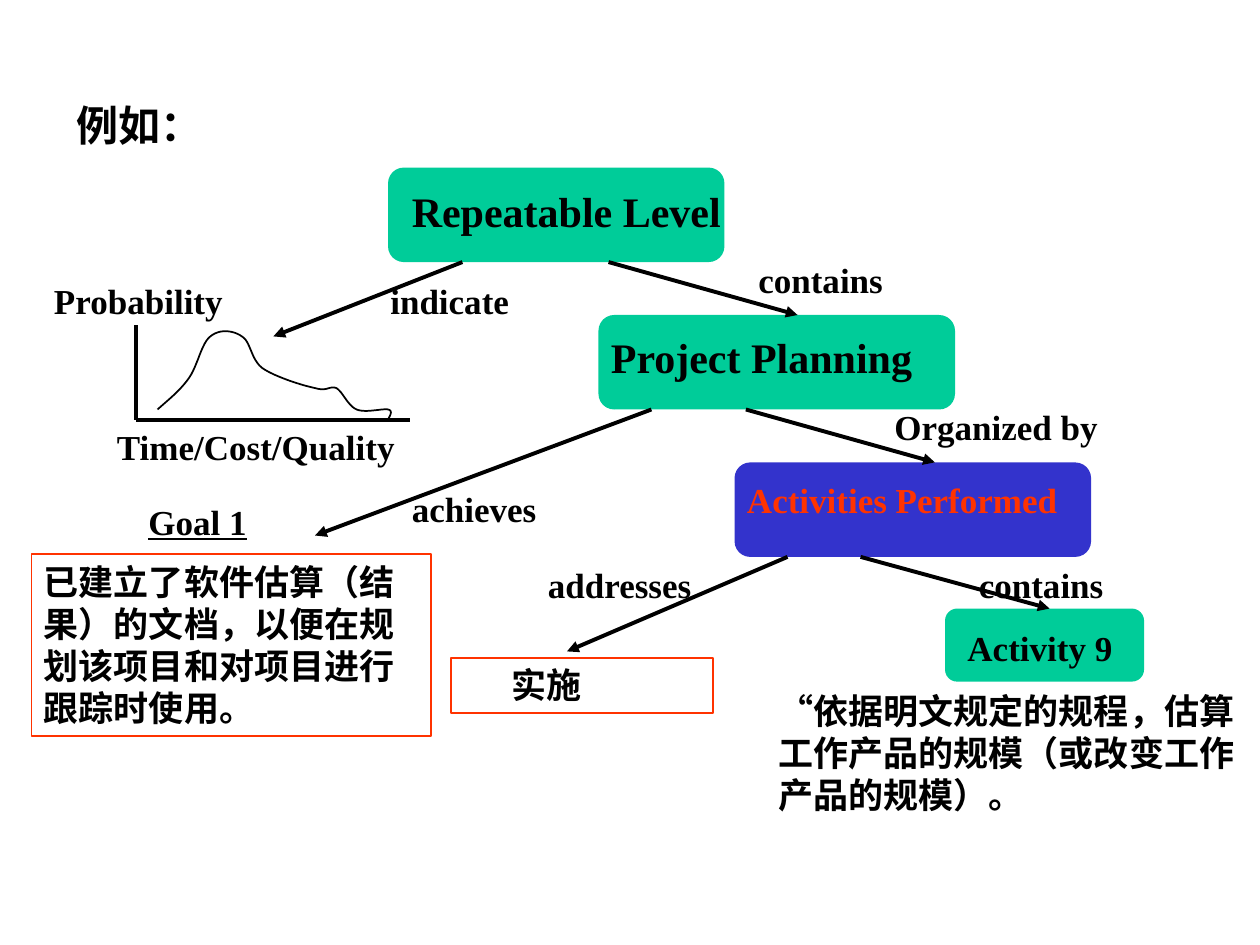
import pptx
import pptx.dml.color
import pptx.enum.shapes
import pptx.enum.text
import pptx.oxml
import pptx.oxml.ns
import pptx.util
from pptx.util import Inches

BLACK = pptx.dml.color.RGBColor(0x00, 0x00, 0x00)
GREEN = pptx.dml.color.RGBColor(0x00, 0xCC, 0x99)
BLUE = pptx.dml.color.RGBColor(0x33, 0x33, 0xCC)
RED = pptx.dml.color.RGBColor(0xFF, 0x33, 0x00)
FONT = "Times New Roman"
LABEL_HEIGHT = 0.44

# Bezier curve in inches from the chart corner: a start, then two controls and an end each.
CURVE_START = (0.17, 0.67)
CURVE_SEGMENTS = [
    ((0.26, 0.59), (0.35, 0.52), (0.42, 0.42)),
    ((0.49, 0.32), (0.52, 0.14), (0.59, 0.09)),
    ((0.66, 0.03), (0.77, 0.04), (0.84, 0.09)),
    ((0.91, 0.13), (0.91, 0.27), (1.00, 0.34)),
    ((1.10, 0.41), (1.32, 0.48), (1.42, 0.50)),
    ((1.52, 0.53), (1.53, 0.48), (1.59, 0.50)),
    ((1.64, 0.53), (1.68, 0.64), (1.75, 0.67)),
    ((1.82, 0.70), (1.96, 0.66), (2.00, 0.67)),
    ((2.05, 0.68), (2.00, 0.74), (2.00, 0.75)),
]
STEPS = 12


def write_text(shape, text, size=20, color=BLACK, underline=None, indent=0.0):
    frame = shape.text_frame
    frame.word_wrap = True
    frame.vertical_anchor = pptx.enum.text.MSO_ANCHOR.TOP
    frame.margin_left = Inches(0.1 + indent)
    frame.margin_right = Inches(0.1)
    frame.margin_top = frame.margin_bottom = Inches(0.05)
    paragraph = frame.paragraphs[0]
    paragraph.text = text
    paragraph.alignment = pptx.enum.text.PP_ALIGN.LEFT
    font = paragraph.font
    font.name, font.size, font.bold = FONT, pptx.util.Pt(size), True
    font.color.rgb = color
    font.underline = underline


def add_label(slide, left, top, width, text, height=LABEL_HEIGHT, **style):
    box = slide.shapes.add_textbox(*map(Inches, (left, top, width, height)))
    write_text(box, text, **style)


def add_line(slide, start, end, arrow=False):
    line = slide.shapes.add_connector(
        pptx.enum.shapes.MSO_CONNECTOR.STRAIGHT, *map(Inches, (*start, *end)))
    line.line.color.rgb = BLACK
    line.line.width = pptx.util.Pt(2.25)
    if arrow:
        outline = line.line._get_or_add_ln()
        outline.append(pptx.oxml.parse_xml(
            f'<a:tailEnd {pptx.oxml.ns.nsdecls("a")} type="triangle"/>'))
    line._element.spPr.append(pptx.oxml.parse_xml(
        f'<a:effectLst {pptx.oxml.ns.nsdecls("a")}/>'))


def add_node(slide, box, text, fill=GREEN, offset=(0, 0.08), **style):
    """Draw a rounded box with its caption shifted by offset from the corner."""
    shape = slide.shapes.add_shape(
        pptx.enum.shapes.MSO_SHAPE.FLOWCHART_ALTERNATE_PROCESS, *map(Inches, box))
    shape.shadow.inherit = False
    shape.fill.solid()
    shape.fill.fore_color.rgb = fill
    shape.line.fill.background()
    left, top, width, _ = box
    add_label(slide, left + offset[0], top + offset[1], width + 0.09 - offset[0] / 2,
              text, **style)


def add_framed_text(slide, box, text, indent=0.0):
    shape = slide.shapes.add_shape(
        pptx.enum.shapes.MSO_SHAPE.RECTANGLE, *map(Inches, box))
    shape.shadow.inherit = False
    shape.fill.background()
    shape.line.color.rgb = RED
    shape.line.width = pptx.util.Pt(1)
    write_text(shape, text, indent=indent)


def curve_points():
    """Return points along the Bezier segments, in EMU from the chart corner."""
    points, start = [tuple(map(Inches, CURVE_START))], CURVE_START
    for first, second, end in CURVE_SEGMENTS:
        controls = (start, first, second, end)
        for step in range(1, STEPS + 1):
            t = step / STEPS
            weights = ((1 - t) ** 3, 3 * t * (1 - t) ** 2, 3 * t * t * (1 - t), t ** 3)
            points.append(tuple(
                Inches(sum(weight * point[axis] for weight, point in zip(weights, controls)))
                for axis in (0, 1)))
        start = end
    return points


def add_probability_chart(slide, left, top, width, height):
    bottom = top + height
    add_line(slide, (left, top), (left, bottom))
    add_line(slide, (left, bottom), (left + width, bottom))
    start, *others = curve_points()
    builder = slide.shapes.build_freeform(*start)
    builder.add_line_segments(others, close=False)
    curve = builder.convert_to_shape(Inches(left), Inches(top))
    curve.shadow.inherit = False
    curve.fill.background()
    curve.line.color.rgb = BLACK
    curve.line.width = pptx.util.Pt(1)
    add_label(slide, left - 0.75, top - 0.41, 1.92, "Probability")
    add_label(slide, left - 0.25, bottom, 3, "Time/Cost/Quality")


def add_hierarchy(slide):
    add_node(slide, (3.08, 1.33, 2.67, 0.75), "Repeatable Level", offset=(0.09, 0.09), size=24)
    add_node(slide, (4.75, 2.5, 2.83, 0.75), "Project Planning", size=24)
    add_node(slide, (5.83, 3.67, 2.83, 0.75), "Activities Performed", fill=BLUE, color=RED)
    add_node(slide, (7.5, 4.83, 1.58, 0.58), "Activity 9", offset=(0.08, 0.09))


def add_relations(slide):
    relations = [
        ((3.67, 2.08), (2.17, 2.67), "indicate", (3, 2.17, 1.17)),
        ((4.83, 2.08), (6.33, 2.5), "contains", (5.92, 2, 1.33)),
        ((5.17, 3.25), (2.5, 4.25), "achieves", (3.17, 3.82, 1.33)),
        ((5.92, 3.25), (7.42, 3.67), "Organized by", (7, 3.17, 2)),
        ((6.25, 4.42), (4.5, 5.17), "addresses", (4.25, 4.42, 1.5)),
        ((6.83, 4.42), (8.33, 4.83), "contains", (7.67, 4.42, 1.5)),
    ]
    for start, end, text, place in relations:
        add_line(slide, start, end, arrow=True)
        add_label(slide, *place, text)


def add_explanations(slide):
    add_label(slide, 1.08, 3.92, 1.08, "Goal 1", underline=True)
    add_framed_text(slide, (0.25, 4.4, 3.17, 1.44),
                    "已建立了软件估算（结果）的文档，以便在规划该项目和对项目进行跟踪时使用。")
    add_framed_text(slide, (3.58, 5.22, 2.08, LABEL_HEIGHT), "实施", indent=0.38)
    add_label(slide, 6.08, 5.42, 3.92,
              "“依据明文规定的规程，估算工作产品的规模（或改变工作产品的规模）。", height=1.1)


def main():
    presentation = pptx.Presentation()
    presentation.slide_width = Inches(10)
    presentation.slide_height = Inches(7.5)
    slide = presentation.slides.add_slide(presentation.slide_layouts[6])
    add_label(slide, 0.51, 0.74, 7.07, "例如：", height=0.5, size=24)
    add_hierarchy(slide)
    add_probability_chart(slide, 1.08, 2.58, 2.17, 0.75)
    add_relations(slide)
    add_explanations(slide)
    presentation.save("out.pptx")


if __name__ == "__main__":
    main()
